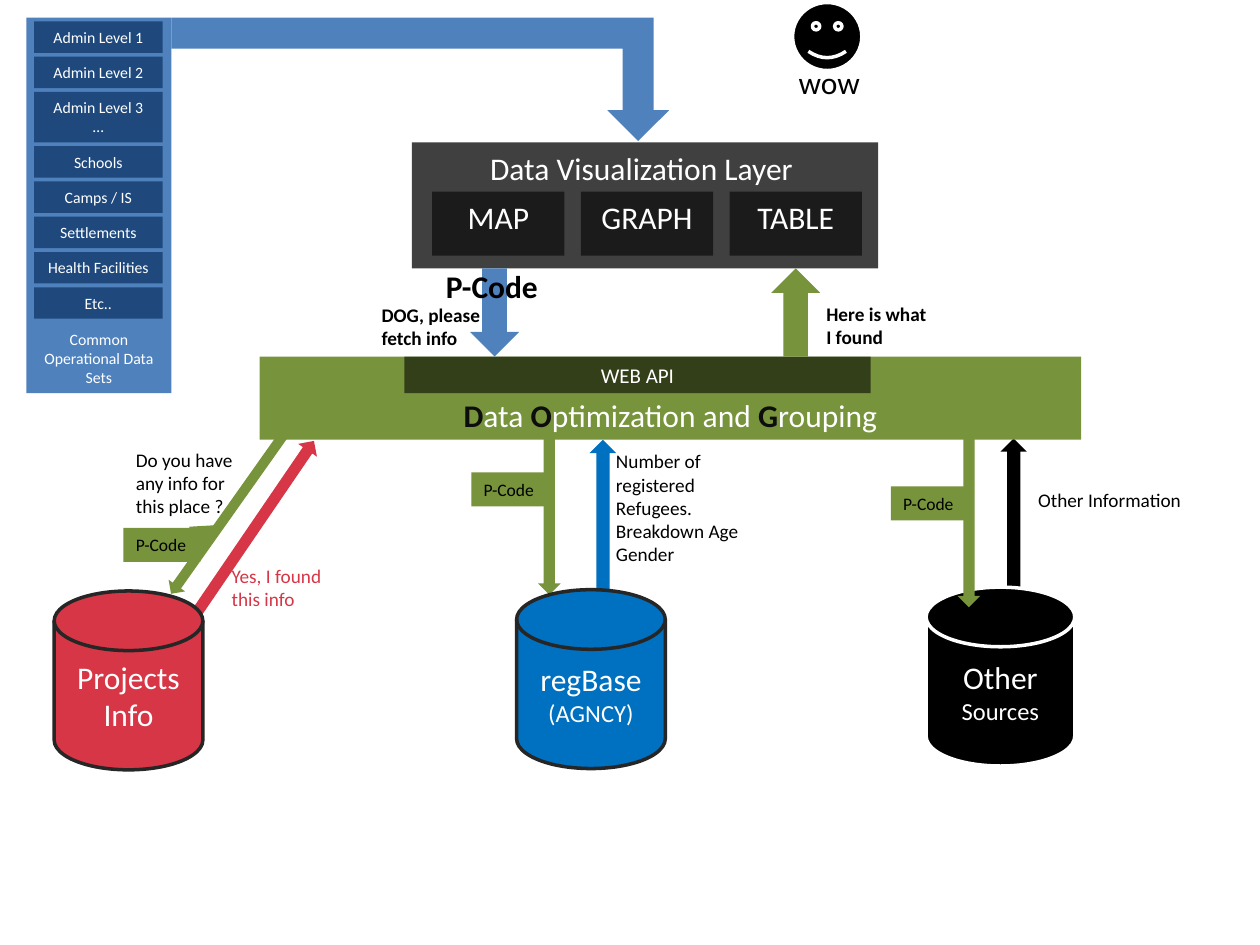
from dataclasses import dataclass

from lxml import etree
from pptx import Presentation
from pptx.dml.color import RGBColor
from pptx.enum.shapes import MSO_SHAPE
from pptx.enum.text import MSO_ANCHOR, PP_ALIGN
from pptx.oxml.ns import qn
from pptx.util import Inches, Pt

RECT = MSO_SHAPE.RECTANGLE
DOWN_ARROW = MSO_SHAPE.DOWN_ARROW
BENT_ARROW = MSO_SHAPE.BENT_UP_ARROW
DISK = MSO_SHAPE.FLOWCHART_MAGNETIC_DISK
SMILEY = MSO_SHAPE.SMILEY_FACE
TRIANGLE = MSO_SHAPE.ISOSCELES_TRIANGLE
LEFT, CENTER = PP_ALIGN.LEFT, PP_ALIGN.CENTER
TOP, MIDDLE, BOTTOM = MSO_ANCHOR.TOP, MSO_ANCHOR.MIDDLE, MSO_ANCHOR.BOTTOM


@dataclass(frozen=True)
class Theme:
    font: str = "Calibri"
    white: str = "FFFFFF"
    black: str = "000000"
    ink: str = "0D0D0D"
    outline: str = "262626"
    gray: str = "404040"
    blue: str = "4F81BD"
    navy: str = "1F497D"
    bright_blue: str = "0070C0"
    green: str = "77933C"
    red: str = "D63645"
    title: int = 18
    subtitle: int = 14
    api: int = 12
    note: int = 11
    tag: int = 10
    row: int = 9
    overlay_alpha: int = 57


THEME = Theme()


def style_span(span, size, color, bold=False):
    span.font.name = THEME.font
    span.font.size = Pt(size)
    span.font.bold = bold
    span.font.color.rgb = RGBColor.from_string(color)


def write(box, text, size, color, align=CENTER, anchor=TOP, bold=False, wrap=True):
    frame = box.text_frame
    frame.text = text
    frame.word_wrap = wrap
    frame.vertical_anchor = anchor
    for para in frame.paragraphs:
        para.alignment = align
        for span in para.runs:
            style_span(span, size, color, bold)


def add_block(page, kind, place, fill, line=None, rotation=0, alpha=None):
    block = page.shapes.add_shape(kind, *map(Inches, place))
    block.shadow.inherit = False
    block.rotation = rotation
    block.fill.solid()
    block.fill.fore_color.rgb = RGBColor.from_string(fill)
    if alpha:
        color = block.element.spPr.find(qn("a:solidFill"))[0]
        etree.SubElement(color, qn("a:alpha"), val=str(alpha * 1000))
    if line:
        block.line.color.rgb = RGBColor.from_string(line)
        block.line.width = Pt(2)
    else:
        block.line.fill.background()
    return block


def add_panel(page, place, fill, text, size, anchor=TOP, alpha=None):
    panel = add_block(page, RECT, place, fill, alpha=alpha)
    write(panel, text, size, THEME.white, anchor=anchor)


def add_note(page, place, text, size=THEME.note, color=THEME.black, bold=False, wrap=True):
    box = page.shapes.add_textbox(*map(Inches, place))
    write(box, text, size, color, LEFT, bold=bold, wrap=wrap)


def add_tag(page, left, top):
    tag = add_block(page, RECT, (left, top, 0.61, 0.27), THEME.green)
    write(tag, "P-Code", THEME.tag, THEME.black, LEFT, wrap=False)


def add_database(page, left, top, fill, line, text, second_size):
    disk = add_block(page, DISK, (left, top, 1.18, 1.42), fill, line)
    write(disk, text, THEME.title, THEME.white, anchor=MIDDLE)
    disk.text_frame.paragraphs[1].runs[0].font.size = Pt(second_size)


def add_data_sets(page):
    add_panel(page, (0.21, 0.14, 1.15, 2.98), THEME.blue,
              "Common Operational Data Sets", THEME.row, BOTTOM)


def add_data_rows(page):
    top = 0.17
    for label in ("Admin Level 1", "Admin Level 2", "Admin Level 3 …", "Schools",
                  "Camps / IS", "Settlements", "Health Facilities", "Etc.."):
        height = 0.4 if label.endswith("…") else 0.25
        add_panel(page, (0.27, top, 1.02, height), THEME.navy, label, THEME.row)
        top += height + 0.03


def add_grouping_bar(page):
    bar = add_block(page, RECT, (2.06, 2.83, 6.52, 0.66), THEME.green)
    write(bar, "", THEME.title, THEME.white, anchor=BOTTOM)
    para = bar.text_frame.paragraphs[0]
    for initial, rest in (("D", "ata "), ("O", "ptimization and "), ("G", "rouping")):
        for text, color, bold in ((initial, THEME.ink, True), (rest, THEME.white, False)):
            span = para.add_run()
            span.text = text
            style_span(span, THEME.title, color, bold)


def main():
    deck = Presentation()
    deck.slide_width, deck.slide_height = Inches(10), Inches(7.5)
    page = deck.slides.add_slide(deck.slide_layouts[6])

    # Arrows that run behind the bar and the databases
    for place, fill, rotation in (
        ((7.94, 3.48, 0.21, 1.28), THEME.black, 180),
        ((4.27, 3.12, 0.18, 1.6), THEME.green, 0),
        ((4.68, 3.49, 0.21, 1.28), THEME.bright_blue, 180),
        ((1.92, 3.35, 0.18, 1.71), THEME.red, 214.3),
    ):
        add_block(page, DOWN_ARROW, place, fill, rotation=rotation)

    # Common data sets and visualization layer
    add_data_sets(page)
    add_panel(page, (3.27, 1.13, 3.7, 1), THEME.gray, "Data Visualization Layer ", THEME.title)
    add_data_rows(page)
    for index, label in enumerate(("MAP", "GRAPH", "TABLE")):
        add_panel(page, (3.43 + 1.18 * index, 1.52, 1.05, 0.51), THEME.black,
                  label, THEME.title, alpha=THEME.overlay_alpha)
    feed = add_block(page, BENT_ARROW, (1.36, 0.14, 3.95, 0.98), THEME.blue)
    feed.element.spPr.find(qn("a:xfrm")).set("flipV", "1")

    # Grouping bar with its web API
    add_grouping_bar(page)
    add_panel(page, (3.21, 2.83, 3.7, 0.29), THEME.black, "WEB API", THEME.api,
              alpha=THEME.overlay_alpha)

    # Request and reply between the layers
    add_block(page, DOWN_ARROW, (3.73, 2.13, 0.39, 0.7), THEME.blue)
    add_note(page, (2.93, 2.36, 1.03, 0.47), "DOG, please fetch info", bold=True)
    add_note(page, (3.44, 2.07, 0.94, 0.4), "P-Code", THEME.title, bold=True, wrap=False)
    add_block(page, DOWN_ARROW, (6.12, 2.13, 0.39, 0.7), THEME.green, rotation=180)
    add_note(page, (6.46, 2.35, 1.03, 0.47), "Here is what I found", bold=True)

    # Happy user
    add_block(page, SMILEY, (6.29, 0.02, 0.55, 0.54), THEME.black, THEME.white)
    add_note(page, (6.24, 0.45, 0.69, 0.4), "wow", THEME.title, wrap=False)

    # Project database
    add_database(page, 0.43, 4.69, THEME.red, THEME.outline, "Projects\nInfo", THEME.title)
    add_block(page, DOWN_ARROW, (1.74, 3.26, 0.16, 1.6), THEME.green, rotation=35.3)
    add_note(page, (0.98, 3.51, 1.03, 0.66), "Do you have any info for this place ?")
    add_note(page, (1.74, 4.43, 1.03, 0.47), "Yes, I found this info", color=THEME.red)
    add_tag(page, 0.98, 4.19)
    add_block(page, TRIANGLE, (1.4, 4.14, 0.37, 0.21), THEME.green, rotation=308.1)

    # Registration database
    add_database(page, 4.1, 4.68, THEME.bright_blue, THEME.outline,
                 "regBase\n(AGNCY)", THEME.subtitle)
    add_note(page, (4.79, 3.52, 1.45, 1.21),
             "Number of\nregistered\nRefugees.\nBreakdown Age Gender")
    add_tag(page, 3.74, 3.75)

    # Other sources
    add_database(page, 7.35, 4.66, THEME.black, THEME.white, "Other\nSources", THEME.subtitle)
    add_block(page, DOWN_ARROW, (7.6, 3.22, 0.18, 1.6), THEME.green)
    add_tag(page, 7.07, 3.86)
    add_note(page, (8.14, 3.83, 1.45, 0.47), "Other Information")

    deck.save("out.pptx")


if __name__ == "__main__":
    main()
